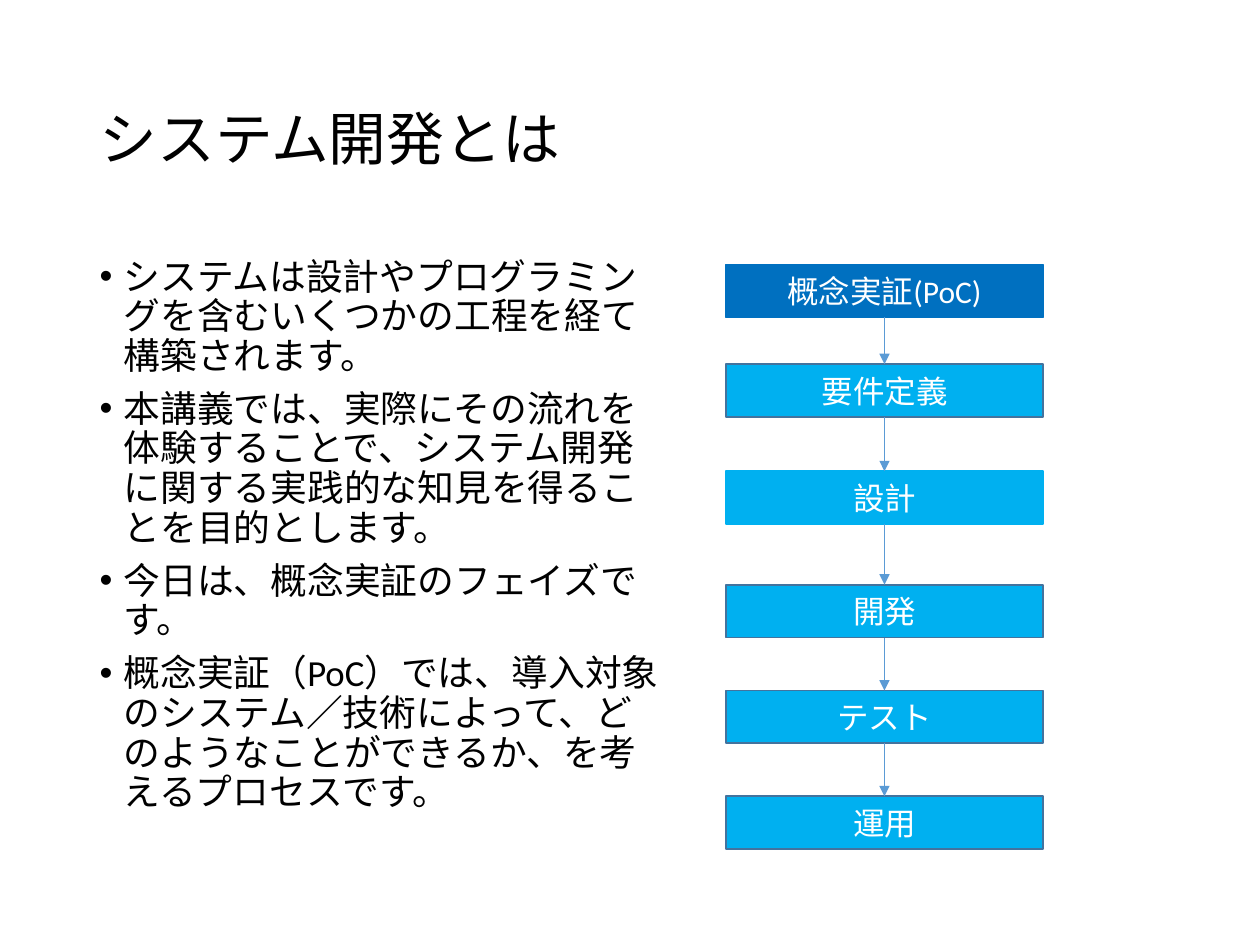
from lxml import etree
from pptx import Presentation
from pptx.dml.color import RGBColor
from pptx.enum.shapes import MSO_CONNECTOR, MSO_SHAPE
from pptx.enum.text import MSO_ANCHOR, MSO_AUTO_SIZE, PP_ALIGN
from pptx.oxml.ns import qn
from pptx.util import Inches, Pt

RECT = MSO_SHAPE.RECTANGLE
STRAIGHT = MSO_CONNECTOR.STRAIGHT
MIDDLE, TOP = MSO_ANCHOR.MIDDLE, MSO_ANCHOR.TOP
LEFT, CENTER = PP_ALIGN.LEFT, PP_ALIGN.CENTER
NO_AUTOFIT = MSO_AUTO_SIZE.NONE

FONT = "Calibri"
COLORS = {
    "text": "000000",
    "white": "FFFFFF",
    "current": "0070C0",
    "phase": "00B0F0",
    "border": "43739E",
    "arrow": "5B9BD5",
}

TITLE = "システム開発とは"
BULLETS = [
    "システムは設計やプログラミングを含むいくつかの工程を経て構築されます。",
    "本講義では、実際にその流れを体験することで、システム開発に関する実践的な知見を得ることを目的とします。",
    "今日は、概念実証のフェイズです。",
    "概念実証（PoC）では、導入対象のシステム／技術によって、どのようなことができるか、を考えるプロセスです。",
]
# label, top, fill, border
PHASES = [
    ("概念実証(PoC)", 2.1, "current", "current"),
    ("要件定義", 2.89, "phase", "border"),
    ("設計", 3.74, "phase", "phase"),
    ("開発", 4.64, "phase", "border"),
    ("テスト", 5.48, "phase", "border"),
    ("運用", 6.32, "phase", "border"),
]
PHASE_LEFT, PHASE_W, PHASE_H = 5.76, 2.52, 0.42


def rgb(name):
    return RGBColor.from_string(COLORS[name])


def format_paragraph(p, size, color, align):
    p.alignment = align
    for r in p.runs:
        r.font.name = FONT
        r.font.size = Pt(size)
        r.font.color.rgb = rgb(color)


def fill_placeholder(sp, box, lines, size, anchor):
    sp.left, sp.top, sp.width, sp.height = map(Inches, box)
    tf = sp.text_frame
    tf.text = "\n".join(lines)
    tf.word_wrap = True
    tf.auto_size = NO_AUTOFIT
    tf.vertical_anchor = anchor
    for p in tf.paragraphs:
        format_paragraph(p, size, "text", LEFT)
        p.line_spacing = 0.9
    return tf


def add_phase(s, label, top, fill, border):
    sp = s.shapes.add_shape(RECT, Inches(PHASE_LEFT), Inches(top),
                            Inches(PHASE_W), Inches(PHASE_H))
    sp.shadow.inherit = False
    sp.fill.solid()
    sp.fill.fore_color.rgb = rgb(fill)
    sp.line.color.rgb = rgb(border)
    sp.line.width = Pt(1)
    tf = sp.text_frame
    tf.text = label
    tf.vertical_anchor = MIDDLE
    format_paragraph(tf.paragraphs[0], 18, "white", CENTER)
    return sp


def add_arrow(s, upper, lower):
    c = s.shapes.add_connector(STRAIGHT, 0, 0, 0, 0)
    c.begin_connect(upper, 2)
    c.end_connect(lower, 0)
    c.line.color.rgb = rgb("arrow")
    c.line.width = Pt(0.5)
    etree.SubElement(c.line._get_or_add_ln(), qn("a:tailEnd"), type="triangle")
    etree.SubElement(c._element.spPr, qn("a:effectLst"))


def main():
    prs = Presentation()
    prs.slide_width, prs.slide_height = Inches(10), Inches(7.5)
    s = prs.slides.add_slide(prs.slide_layouts[1])

    fill_placeholder(s.shapes.title, (0.69, 0.4, 8.62, 1.45), [TITLE], 33, MIDDLE)
    body = fill_placeholder(s.placeholders[1], (0.69, 2, 4.66, 4.43), BULLETS, 21, TOP)
    for p in body.paragraphs:
        p.space_before = Pt(7.5)
        pPr = p._p.get_or_add_pPr()
        pPr.set("marL", str(Inches(0.19)))
        pPr.set("indent", str(-Inches(0.19)))
        etree.SubElement(pPr, qn("a:buChar"), char="•")

    boxes = [add_phase(s, *phase) for phase in PHASES]
    for upper, lower in zip(boxes, boxes[1:]):
        add_arrow(s, upper, lower)

    prs.save("out.pptx")


if __name__ == "__main__":
    main()
